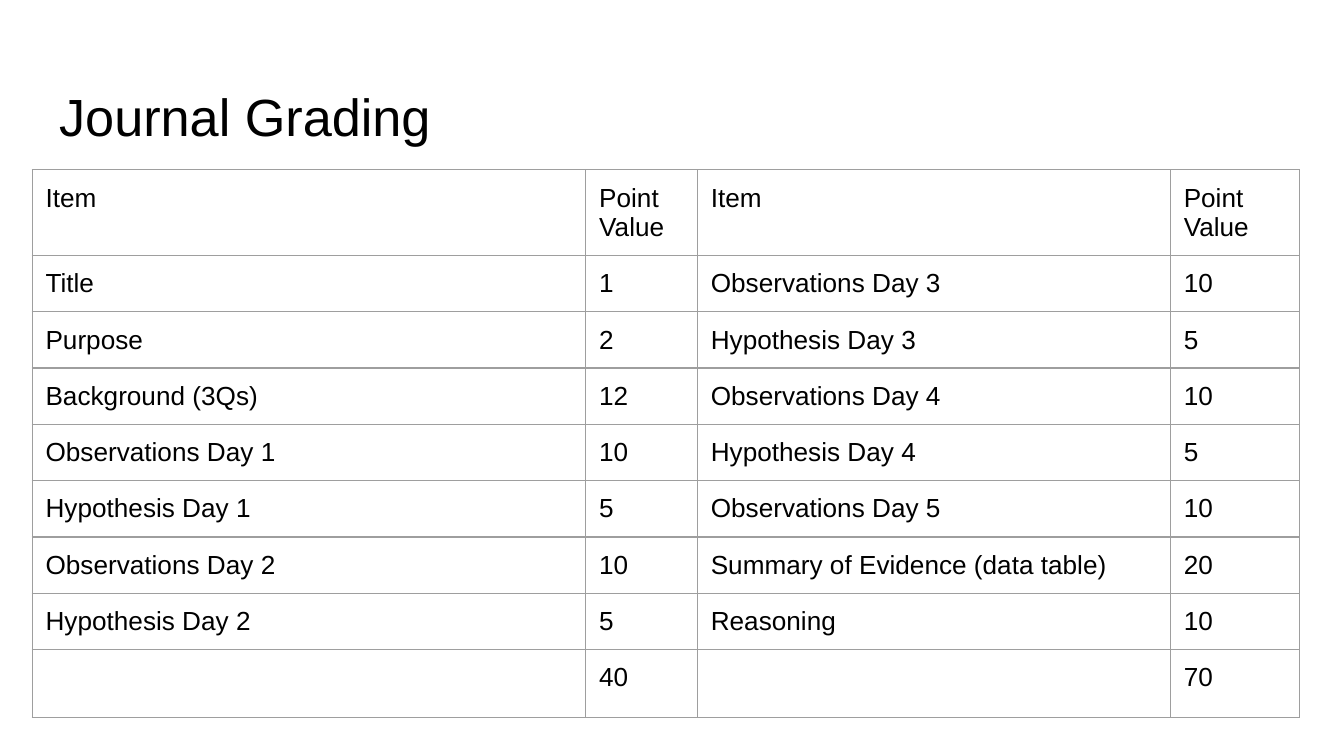
import pptx
import pptx.dml.color
import pptx.enum.text
import pptx.oxml
import pptx.oxml.ns
import pptx.util

Pt = pptx.util.Pt
INSET = 7.2
COLUMN_WIDTHS = [296.6, 59.8, 253.4, 69.2]
ROW_HEIGHT = 30
GRADING_ROWS = [
    ["Item", "Point Value", "Item", "Point Value"],
    ["Title", "1", "Observations Day 3", "10"],
    ["Purpose", "2", "Hypothesis Day 3", "5"],
    ["Background (3Qs)", "12", "Observations Day 4", "10"],
    ["Observations Day 1", "10", "Hypothesis Day 4", "5"],
    ["Hypothesis Day 1", "5", "Observations Day 5", "10"],
    ["Observations Day 2", "10", "Summary of Evidence (data table)", "20"],
    ["Hypothesis Day 2", "5", "Reasoning", "10"],
    ["", "40", "", "70"],
]


def color(value):
    return pptx.dml.color.RGBColor.from_string(value)


def write_text(frame, text, size=14, font="Arial", fill="000000"):
    paragraph = frame.paragraphs[0]
    paragraph.alignment = pptx.enum.text.PP_ALIGN.LEFT
    run = paragraph.add_run()
    run.text = text
    run.font.size = Pt(size)
    run.font.name = font
    run.font.color.rgb = color(fill)


def set_margins(target, top=INSET, bottom=INSET):
    target.margin_left = target.margin_right = Pt(INSET)
    target.margin_top = Pt(top)
    target.margin_bottom = Pt(bottom)


def set_borders(cell, line_color, width):
    properties = cell._tc.get_or_add_tcPr()
    namespace = pptx.oxml.ns.nsdecls("a")
    for index, side in enumerate("LRTB"):
        properties.insert(index, pptx.oxml.parse_xml(
            f'<a:ln{side} {namespace} w="{Pt(width)}"><a:solidFill>'
            f'<a:srgbClr val="{line_color}"/></a:solidFill></a:ln{side}>'))


class GradingSlide:
    border_color = "9E9E9E"
    border_width = 0.75

    def __init__(self, presentation):
        self.slide = presentation.slides.add_slide(presentation.slide_layouts[5])
        self.slide.background.fill.solid()
        self.slide.background.fill.fore_color.rgb = color("FFFFFF")

    def add_title(self, text, left, top, width, height):
        title = self.slide.shapes.title
        title.left, title.top = Pt(left), Pt(top)
        title.width, title.height = Pt(width), Pt(height)
        frame = title.text_frame
        frame.word_wrap = True
        frame.auto_size = pptx.enum.text.MSO_AUTO_SIZE.NONE
        frame.vertical_anchor = pptx.enum.text.MSO_ANCHOR.TOP
        set_margins(frame, top=10, bottom=0)
        write_text(frame, text, size=28)

    def add_table(self, rows, left, top, column_widths, row_height):
        table = self.slide.shapes.add_table(
            len(rows), len(column_widths), Pt(left), Pt(top),
            Pt(sum(column_widths)), Pt(row_height * len(rows))).table
        table.first_row = table.horz_banding = False
        for column, width in zip(table.columns, column_widths):
            column.width = Pt(width)
        for row, texts in zip(table.rows, rows):
            row.height = Pt(row_height)
            for cell, text in zip(row.cells, texts):
                set_margins(cell)
                cell.fill.background()
                set_borders(cell, self.border_color, self.border_width)
                if text:
                    write_text(cell.text_frame, text)


def main():
    presentation = pptx.Presentation()
    presentation.slide_width, presentation.slide_height = Pt(720), Pt(405)
    grading = GradingSlide(presentation)
    grading.add_title("Journal Grading", 24.5, 35, 671, 45)
    grading.add_table(GRADING_ROWS, 17.2, 91, COLUMN_WIDTHS, ROW_HEIGHT)
    presentation.save("out.pptx")


if __name__ == "__main__":
    main()
